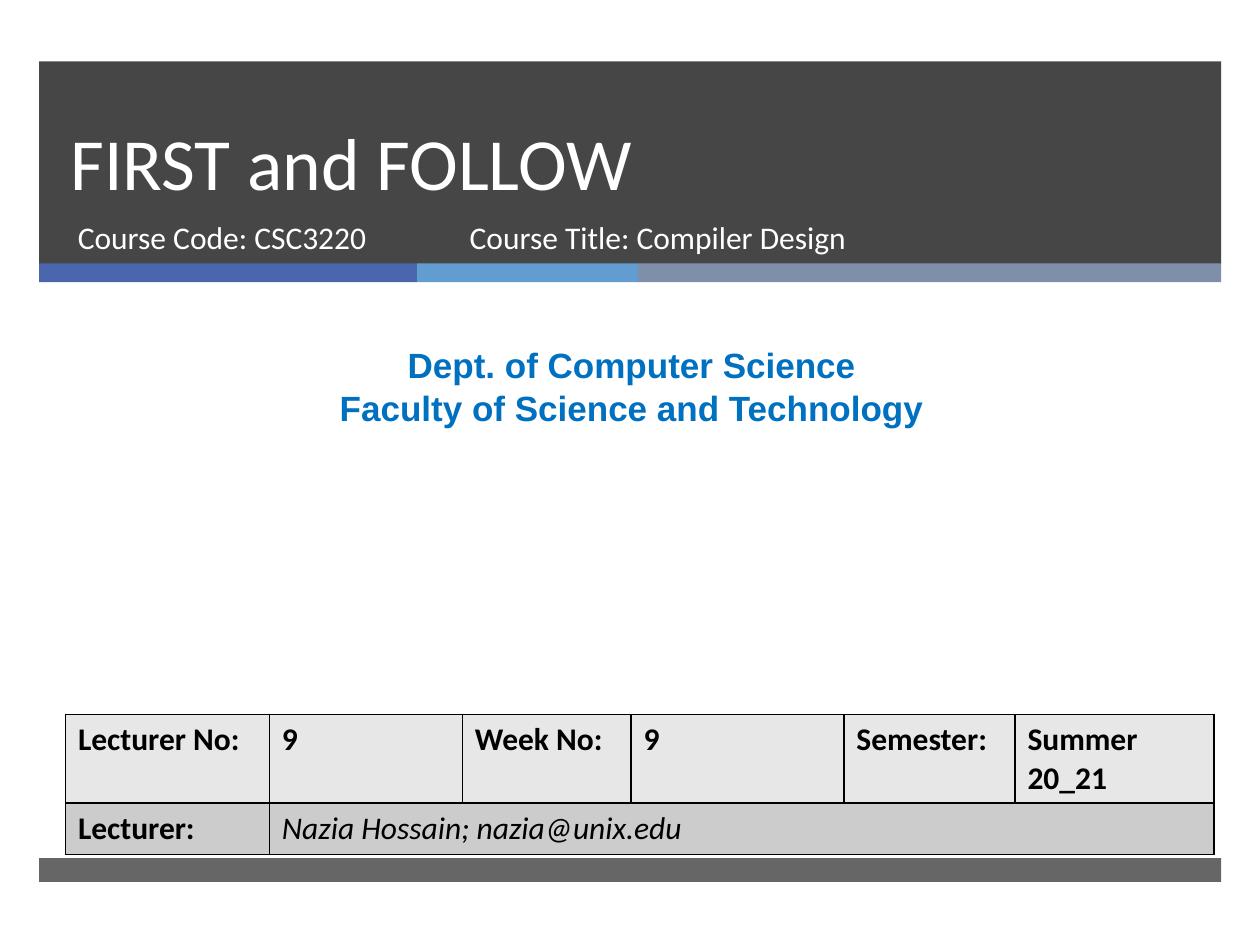
from dataclasses import dataclass

from pptx import Presentation
from pptx.dml.color import RGBColor
from pptx.enum.shapes import MSO_SHAPE as Shape
from pptx.enum.text import MSO_ANCHOR as Anchor, PP_ALIGN as Align
from pptx.oxml.ns import qn
from pptx.util import Cm, Pt
from lxml.etree import SubElement


@dataclass(frozen=True)
class Theme:
    dark: str = "262626"
    bands: tuple = ("4A66AC", "629DD1", "7F8FA9")
    white: str = "FFFFFF"
    black: str = "000000"
    dept: str = "0070C0"
    rows: tuple = ("E7E7E7", "CCCCCC")
    body_font: str = "Calibri"
    dept_font: str = "Arial"
    title_size: int = 42
    dept_size: int = 20
    body_size: int = 18


THEME = Theme()
LEFT, WIDTH = 0.79, 23.83
COURSE_TOP, COURSE_HEIGHT = 4.27, 1.35


def set_fill(fill, color):
    fill.solid()
    fill.fore_color.rgb = RGBColor.from_string(color)


def add_bar(slide, left, top, width, height, color, opacity=100):
    sp = slide.shapes.add_shape(Shape.RECTANGLE, Cm(left), Cm(top), Cm(width), Cm(height))
    sp.shadow.inherit = False
    sp.line.fill.background()
    set_fill(sp.fill, color)
    if opacity < 100:
        srgb = sp.fill._xPr.find(".//" + qn("a:srgbClr"))
        SubElement(srgb, qn("a:alpha"), val=str(opacity * 1000))


def add_run(p, text, size=THEME.body_size, color=THEME.white, font=THEME.body_font,
            bold=False, italic=False):
    r = p.add_run()
    r.text = text
    r.font.size = Pt(size)
    r.font.name = font
    r.font.bold = bold
    r.font.italic = italic
    r.font.color.rgb = RGBColor.from_string(color)


def add_text(slide, left, top, width, height, lines, align=Align.LEFT,
             anchor=Anchor.TOP, spacing=None, **style):
    box = slide.shapes.add_textbox(Cm(left), Cm(top), Cm(width), Cm(height))
    tf = box.text_frame
    tf.word_wrap = True
    tf.vertical_anchor = anchor
    for i, line in enumerate(lines):
        p = tf.add_paragraph() if i else tf.paragraphs[0]
        p.alignment = align
        p.line_spacing = spacing
        add_run(p, line, **style)


def set_borders(cell, color):
    tc_pr = cell._tc.get_or_add_tcPr()
    for side in ("lnL", "lnR", "lnT", "lnB"):
        ln = SubElement(tc_pr, qn(f"a:{side}"), w=str(Pt(1)))
        SubElement(SubElement(ln, qn("a:solidFill")), qn("a:srgbClr"), val=color)


def add_lecture_table(slide):
    texts = [
        ["Lecturer No:", "9", "Week No:", "9", "Semester:", "Summer 20_21"],
        ["Lecturer:", "Nazia Hossain; nazia@unix.edu"],
    ]
    widths = (4.11, 3.89, 3.4, 4.29, 3.45, 4.01)
    heights = (1.79, 1.04)
    table = slide.shapes.add_table(len(heights), len(widths), Cm(1.32), Cm(14.4),
                                   Cm(sum(widths)), Cm(sum(heights))).table
    for column, width in zip(table.columns, widths):
        column.width = Cm(width)
    for i, height in enumerate(heights):
        table.rows[i].height = Cm(height)
        for cell in table.rows[i].cells:
            set_borders(cell, THEME.black)
            set_fill(cell.fill, THEME.rows[i])
    table.cell(1, 1).merge(table.cell(1, 5))
    for i, row in enumerate(texts):
        for j, text in enumerate(row):
            is_contact = (i, j) == (1, 1)
            add_run(table.cell(i, j).text_frame.paragraphs[0], text,
                    color=THEME.black, bold=not is_contact, italic=is_contact)


def main():
    prs = Presentation()
    prs.slide_width, prs.slide_height = Cm(25.4), Cm(19.05)
    slide = prs.slides.add_slide(prs.slide_layouts[6])

    add_bar(slide, LEFT, 1.24, WIDTH, 4.09, THEME.dark, opacity=85)
    left = LEFT
    for width, color in zip((7.62, 4.45, 11.76), THEME.bands):
        add_bar(slide, left, 5.31, width, 0.38, color)
        left += width
    add_bar(slide, LEFT, 17.3, WIDTH, 0.48, THEME.dark, opacity=70)

    add_text(slide, 1.17, 1.24, 21.69, 3.02, ["FIRST and FOLLOW"],
             anchor=Anchor.BOTTOM, spacing=Pt(46), size=THEME.title_size)
    add_text(slide, 1.32, COURSE_TOP, 7.75, COURSE_HEIGHT, ["Course Code: CSC3220"])
    add_text(slide, 9.22, COURSE_TOP, 11.56, COURSE_HEIGHT,
             ["Course Title: Compiler Design"])
    add_text(slide, 0.2, 6.81, 25.07, 1.96,
             ["Dept. of Computer Science", "Faculty of Science and Technology"],
             align=Align.CENTER, size=THEME.dept_size, color=THEME.dept,
             font=THEME.dept_font, bold=True)
    add_lecture_table(slide)
    prs.save("out.pptx")


if __name__ == "__main__":
    main()
